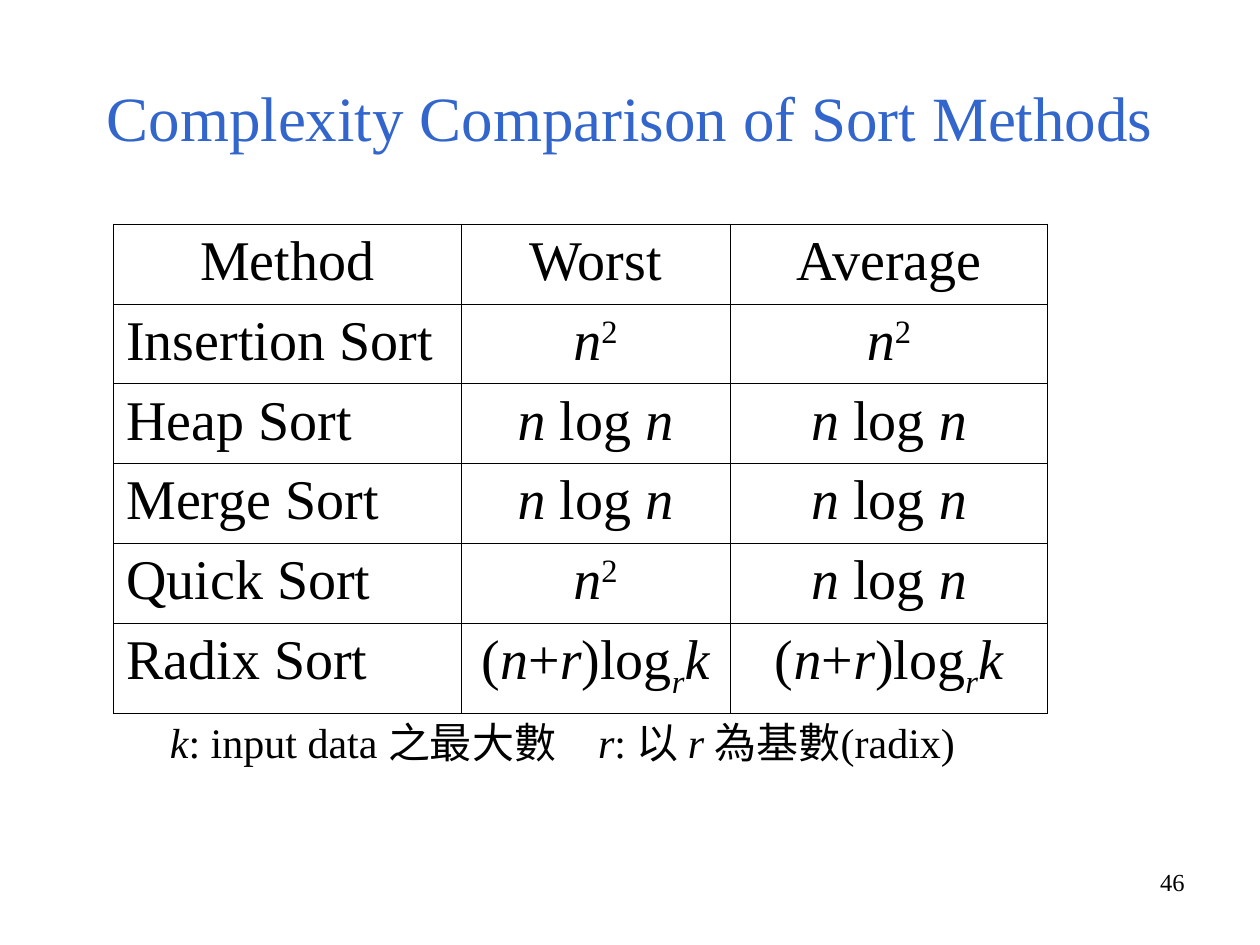
import pptx
import pptx.dml.color
import pptx.enum.text
import pptx.oxml
import pptx.oxml.ns
import pptx.util

Pt = pptx.util.Pt
ALIGN = pptx.enum.text.PP_ALIGN
ANCHOR = pptx.enum.text.MSO_ANCHOR
FONT = "Times New Roman"
BLACK, BLUE = "000000", "3366CC"

# Content: a text is a list of (words, style) spans
PLAIN, ITALIC, SUPER, SUB = "plain", "italic", "super", "sub"
SQUARE = [("n", ITALIC), ("2", SUPER)]
N_LOG_N = [("n", ITALIC), (" log ", PLAIN), ("n", ITALIC)]
RADIX = [("(", PLAIN), ("n", ITALIC), ("+", PLAIN), ("r", ITALIC),
         (")log", PLAIN), ("r", SUB), ("k", ITALIC)]
HEADINGS = ["Method", "Worst", "Average"]
METHODS = [
    ("Insertion Sort", SQUARE, SQUARE),
    ("Heap Sort", N_LOG_N, N_LOG_N),
    ("Merge Sort", N_LOG_N, N_LOG_N),
    ("Quick Sort", SQUARE, N_LOG_N),
    ("Radix Sort", RADIX, RADIX),
]
NOTE = [("k", ITALIC), (": input data 之最大數　", PLAIN), ("r", ITALIC),
        (": 以 ", PLAIN), ("r ", ITALIC), ("為基數(radix)", PLAIN)]

# Layout in points
TABLE_LEFT, TABLE_TOP = 65, 128
COLUMN_WIDTHS = [198.4, 153.8, 181.6]
ROW_HEIGHTS = [45.6] * 5 + [51.2]
BASELINES = {SUPER: "30000", SUB: "-25000"}


def color(value):
    return pptx.dml.color.RGBColor.from_string(value)


def write(frame, content, size, align, ink=BLACK):
    """Fill the first paragraph of a text frame with styled spans."""
    para = frame.paragraphs[0]
    para.alignment = align
    spans = [(content, PLAIN)] if isinstance(content, str) else content
    for words, style in spans:
        span = para.add_run()
        span.text = words
        look = {"name": FONT, "size": Pt(size), "italic": style in (ITALIC, SUB)}
        for name, value in look.items():
            setattr(span.font, name, value)
        span.font.color.rgb = color(ink)
        if style in BASELINES:
            span.font._element.set("baseline", BASELINES[style])
    return para


def add_text(page, place, content, size, align, ink=BLACK, anchor=ANCHOR.TOP):
    box = page.shapes.add_textbox(*map(Pt, place))
    box.text_frame.word_wrap = True
    box.text_frame.vertical_anchor = anchor
    return write(box.text_frame, content, size, align, ink)


def add_borders(cell):
    properties = cell._tc.get_or_add_tcPr()
    for position, side in enumerate(("lnL", "lnR", "lnT", "lnB")):
        properties.insert(position, pptx.oxml.parse_xml(
            f'<a:{side} {pptx.oxml.ns.nsdecls("a")} w="{Pt(0.45)}"><a:solidFill>'
            f'<a:srgbClr val="{BLACK}"/></a:solidFill></a:{side}>'))


def add_table(page):
    rows = [HEADINGS] + METHODS
    table = page.shapes.add_table(
        len(rows), len(HEADINGS), Pt(TABLE_LEFT), Pt(TABLE_TOP),
        Pt(sum(COLUMN_WIDTHS)), Pt(sum(ROW_HEIGHTS))).table
    table.first_row = table.horz_banding = False
    for column, width in zip(table.columns, COLUMN_WIDTHS):
        column.width = Pt(width)
    for row, height in zip(table.rows, ROW_HEIGHTS):
        row.height = Pt(height)
    for r, row in enumerate(rows):
        for c, content in enumerate(row):
            cell = table.cell(r, c)
            cell.fill.background()
            align = ALIGN.LEFT if r and c == 0 else ALIGN.CENTER
            write(cell.text_frame, content, 32, align)
            add_borders(cell)


def main():
    deck = pptx.Presentation()
    deck.slide_width, deck.slide_height = Pt(720), Pt(540)
    page = deck.slides.add_slide(deck.slide_layouts[6])

    # Title
    add_text(page, (36, 21.6, 648, 90), "Complexity Comparison of Sort Methods",
             36, ALIGN.CENTER, BLUE, ANCHOR.MIDDLE)

    # Comparison table
    add_table(page)

    # Page number
    add_text(page, (516.2, 491.8, 167.8, 37.4), "46", 14, ALIGN.RIGHT)

    # Note on the symbols, indented by half an inch
    para = add_text(page, (54, 406, 606.2, 38.2), NOTE, 24, ALIGN.JUSTIFY)
    for name, value in {"lvl": "1", "marL": str(Pt(36)), "indent": "0"}.items():
        para._p.get_or_add_pPr().set(name, value)

    deck.save("out.pptx")


if __name__ == "__main__":
    main()
